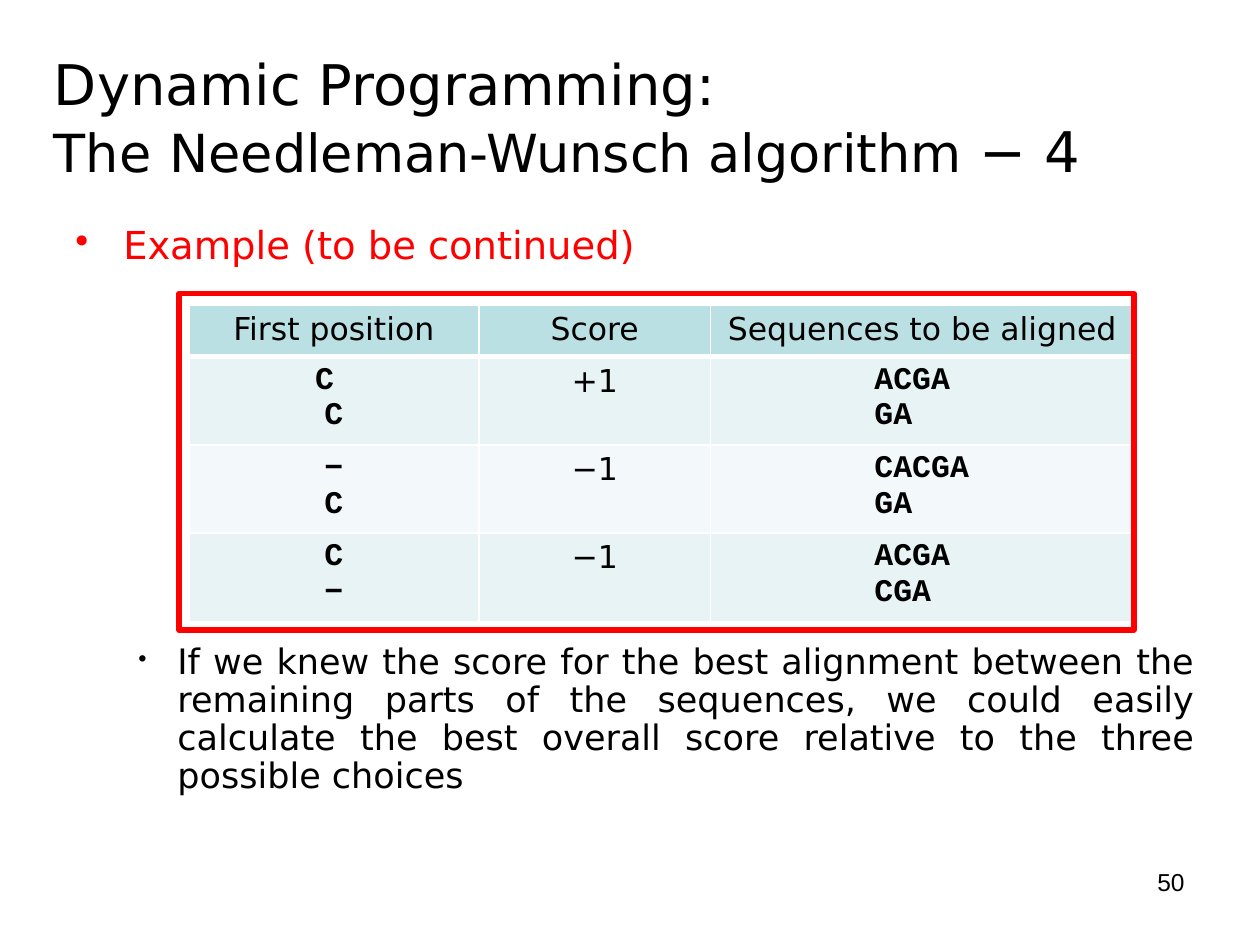
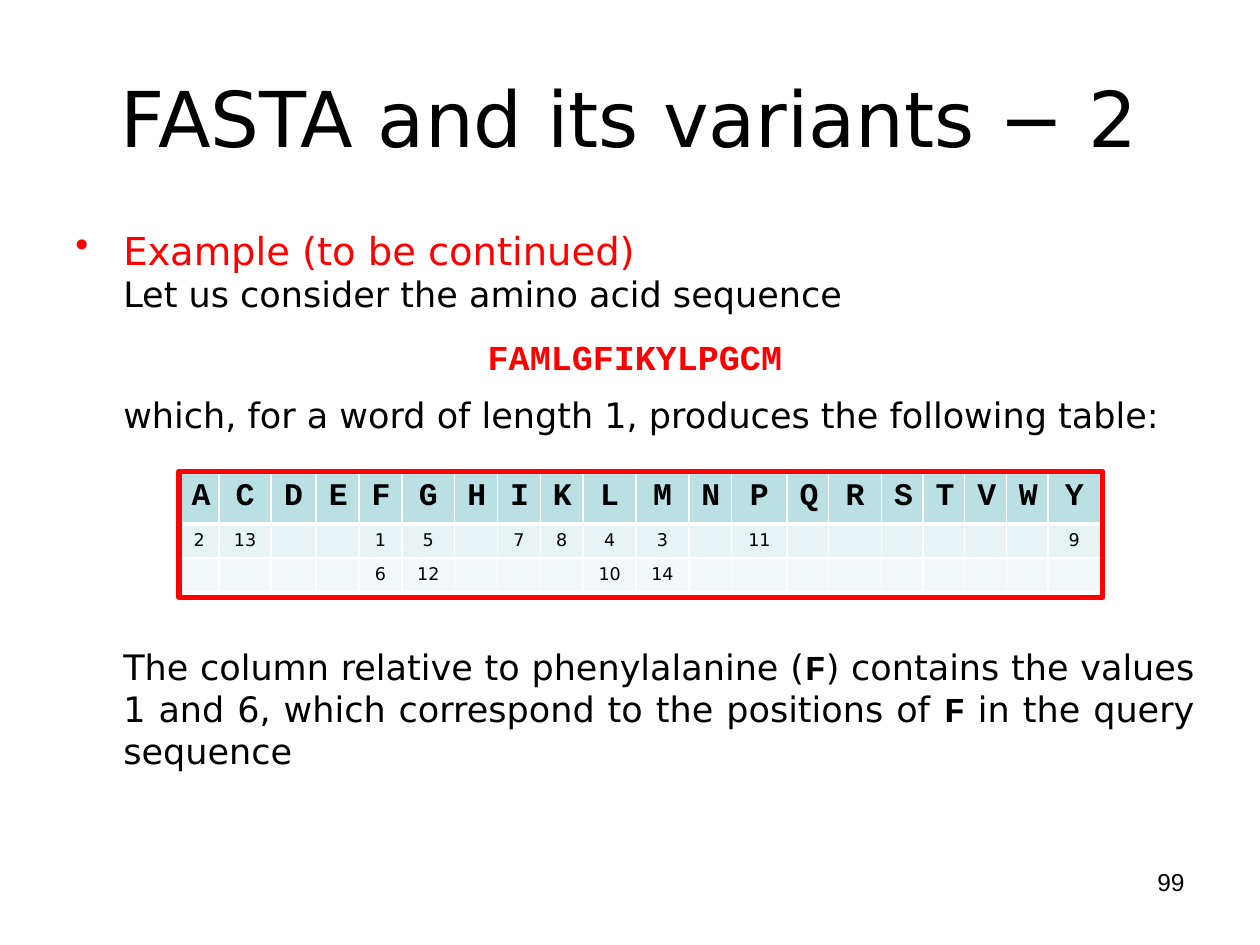
from lxml import etree
from pptx import Presentation
from pptx.dml.color import RGBColor
from pptx.enum.shapes import MSO_SHAPE
from pptx.enum.text import MSO_ANCHOR, PP_ALIGN
from pptx.oxml.ns import qn
from pptx.util import Inches, Pt

LEFT, CENTER = PP_ALIGN.LEFT, PP_ALIGN.CENTER
RIGHT, JUSTIFY = PP_ALIGN.RIGHT, PP_ALIGN.JUSTIFY
TOP, MIDDLE = MSO_ANCHOR.TOP, MSO_ANCHOR.MIDDLE
RECTANGLE = MSO_SHAPE.RECTANGLE

COLORS = {
    "text": "000000",
    "accent": "FF0000",
    "header": "BBE0E3",
    "odd_row": "E7F3F4",
    "even_row": "F3F9FA",
    "border": "FFFFFF",
}
BODY_FONT = "DejaVu Sans"
CODE_FONT = "Courier New"
NUMBER_FONT = "Arial"


def span(text, size=20, font=BODY_FONT, color="text", bold=False):
    return {"text": text, "size": size, "font": font, "color": color, "bold": bold}


def code(text, size=20, color="text"):
    return span(text, size, CODE_FONT, color, True)


def para(*spans, align=LEFT, margin=0, indent=0, before=0, spacing=1.0,
         bullet=None, bullet_scale=100):
    return {"spans": spans, "align": align, "margin": margin, "indent": indent,
            "before": before, "spacing": spacing, "bullet": bullet,
            "bullet_scale": bullet_scale}


def example_heading(spacing=1.0):
    return para(span("Example (to be continued)", 22, color="accent"), align=JUSTIFY,
                margin=0.38, indent=-0.38, spacing=spacing, bullet="•")


def body_para(*spans, before=0):
    return para(*spans, align=JUSTIFY, margin=0.38, before=before)


def cell_of(*spans, align=CENTER, inset=0.1):
    return {"paras": [para(item, align=align) for item in spans], "inset": inset}


class Deck:
    def __init__(self, width, height):
        self.presentation = Presentation()
        self.presentation.slide_width = Inches(width)
        self.presentation.slide_height = Inches(height)
        self.page = None

    def add_page(self, number):
        self.page = self.presentation.slides.add_slide(self.presentation.slide_layouts[6])
        self.add_text(7.17, 6.83, 2.33, 0.52,
                      [para(span(number, 14, NUMBER_FONT), align=RIGHT)])

    def add_text(self, left, top, width, height, paras, anchor=TOP):
        box = self.page.shapes.add_textbox(
            Inches(left), Inches(top), Inches(width), Inches(height))
        box.text_frame.word_wrap = True
        box.text_frame.vertical_anchor = anchor
        self.set_paras(box.text_frame, paras)

    def add_title(self, left, width, paras):
        self.add_text(left, 0.3, width, 1.25, paras, MIDDLE)

    def add_frame(self, left, top, width, height):
        frame = self.page.shapes.add_shape(
            RECTANGLE, Inches(left), Inches(top), Inches(width), Inches(height))
        frame.shadow.inherit = False
        frame.fill.background()
        frame.line.color.rgb = RGBColor.from_string(COLORS["accent"])
        frame.line.width = Pt(3)

    def add_table(self, left, top, widths, heights, rows):
        table = self.page.shapes.add_table(
            len(heights), len(widths), Inches(left), Inches(top),
            Inches(sum(widths)), Inches(sum(heights))).table
        for column, width in zip(table.columns, widths):
            column.width = Inches(width)
        for index, (row, height) in enumerate(zip(rows, heights)):
            table.rows[index].height = Inches(height)
            shade = "header" if index == 0 else "odd_row" if index % 2 else "even_row"
            for cell, content in zip(table.rows[index].cells, row):
                cell.margin_left = Inches(content["inset"])
                self.set_paras(cell.text_frame, content["paras"])
                self.add_borders(cell, index)
                cell.fill.solid()
                cell.fill.fore_color.rgb = RGBColor.from_string(COLORS[shade])

    def add_borders(self, cell, row_index):
        properties = cell._tc.get_or_add_tcPr()
        thick_side = {0: "lnB", 1: "lnT"}.get(row_index)
        for side in ("lnL", "lnR", "lnT", "lnB"):
            width = Pt(3 if side == thick_side else 1)
            line = etree.SubElement(properties, qn("a:" + side), w=str(width))
            fill = etree.SubElement(line, qn("a:solidFill"))
            etree.SubElement(fill, qn("a:srgbClr"), val=COLORS["border"])

    def set_paras(self, text_frame, paras):
        for index, item in enumerate(paras):
            paragraph = text_frame.paragraphs[0] if index == 0 else text_frame.add_paragraph()
            paragraph.alignment = item["align"]
            paragraph.space_before = Pt(item["before"])
            paragraph.line_spacing = item["spacing"]
            properties = paragraph._p.get_or_add_pPr()
            properties.set("marL", str(Inches(item["margin"])))
            properties.set("indent", str(Inches(item["indent"])))
            if item["bullet"]:
                etree.SubElement(properties, qn("a:buSzPct"),
                                 val=str(item["bullet_scale"] * 1000))
                etree.SubElement(properties, qn("a:buChar"), char=item["bullet"])
            for part in item["spans"]:
                self.add_span(paragraph, part)

    def add_span(self, paragraph, part):
        if not part["text"]:
            etree.SubElement(paragraph._p, qn("a:endParaRPr"), sz=str(part["size"] * 100))
            return
        run = paragraph.add_run()
        run.text = part["text"]
        run.font.size = Pt(part["size"])
        run.font.name = part["font"]
        run.font.bold = part["bold"]
        run.font.color.rgb = RGBColor.from_string(COLORS[part["color"]])


def build_alignment_page(deck):
    deck.add_page("50")
    deck.add_title(0.33, 9.17, [
        para(span("Dynamic Programming:", 32)),
        para(span("The", 30), span(" ", 32),
             span("Needleman-Wunsch algorithm ", 30), span("− 4", 32)),
    ])
    deck.add_text(0.5, 1.75, 9.08, 5.08, [
        example_heading(spacing=0.9),
        para(span("If we knew the score for the best alignment between the remaining "
                  "parts of the sequences, we could easily calculate the best overall "
                  "score relative to the three possible choices"),
             align=JUSTIFY, margin=0.81, indent=-0.31, before=215, spacing=0.9,
             bullet="•", bullet_scale=70),
    ])
    headings = ("First position", "Score", "Sequences to be aligned")
    choices = [
        (("C ", "C"), "+1", ("ACGA", "GA")),
        (("−", "C"), "−1", ("CACGA", "GA")),
        (("C", "−"), "−1", ("ACGA", "CGA")),
    ]
    rows = [[cell_of(span(heading, 18)) for heading in headings]]
    for pair, score, remainders in choices:
        rows.append([
            cell_of(*[code(letter, 18) for letter in pair]),
            cell_of(span(score, 18)),
            cell_of(*[code(rest, 18) for rest in remainders], align=LEFT, inset=1.3),
        ])
    deck.add_table(1.5, 2.42, [2.3, 1.84, 3.36], [0.41] + [0.67] * 3, rows)
    deck.add_frame(1.42, 2.33, 7.58, 2.67)


def build_fasta_page(deck):
    sequence = "FAMLGFIKYLPGCM"
    amino_acids = "ACDEFGHIKLMNPQRSTVWY"
    deck.add_page("99")
    deck.add_text(0.5, 1.75, 9.08, 5.33, [
        example_heading(),
        body_para(span("Let us consider the amino acid sequence")),
        para(code(sequence, color="accent"), align=CENTER, before=12),
        body_para(span("which, for a word of length 1, produces the following table:"),
                  before=9),
        body_para(span("The column relative to phenylalanine ("), code("F"),
                  span(") contains the values 1 and 6, which correspond to the "
                       "positions of "), code("F"), span(" in the query sequence"),
                  before=120),
    ])
    positions = {
        acid: [str(place) for place, letter in enumerate(sequence, 1) if letter == acid]
        for acid in amino_acids
    }
    rows = [[cell_of(code(acid, 18)) for acid in amino_acids]]
    for rank in range(2):
        rows.append([cell_of(span("".join(positions[acid][rank:rank + 1]), 10))
                     for acid in amino_acids])
    special_widths = {"A": 0.32, "C": 0.41, "D": 0.36, "P": 0.44}
    special_widths.update(dict.fromkeys("GLMRY", 0.42))
    special_widths.update(dict.fromkeys("QSTVW", 0.33))
    widths = [special_widths.get(acid, 0.34) for acid in amino_acids]
    deck.add_table(1.42, 3.75, widths, [0.41, 0.26, 0.26], rows)
    deck.add_frame(1.42, 3.74, 7.33, 1)
    deck.add_title(0.5, 9, [para(span("FASTA and its variants − 2", 44), align=CENTER)])


def main():
    deck = Deck(10, 7.5)
    build_alignment_page(deck)
    build_fasta_page(deck)
    deck.presentation.save("out.pptx")


if __name__ == "__main__":
    main()
